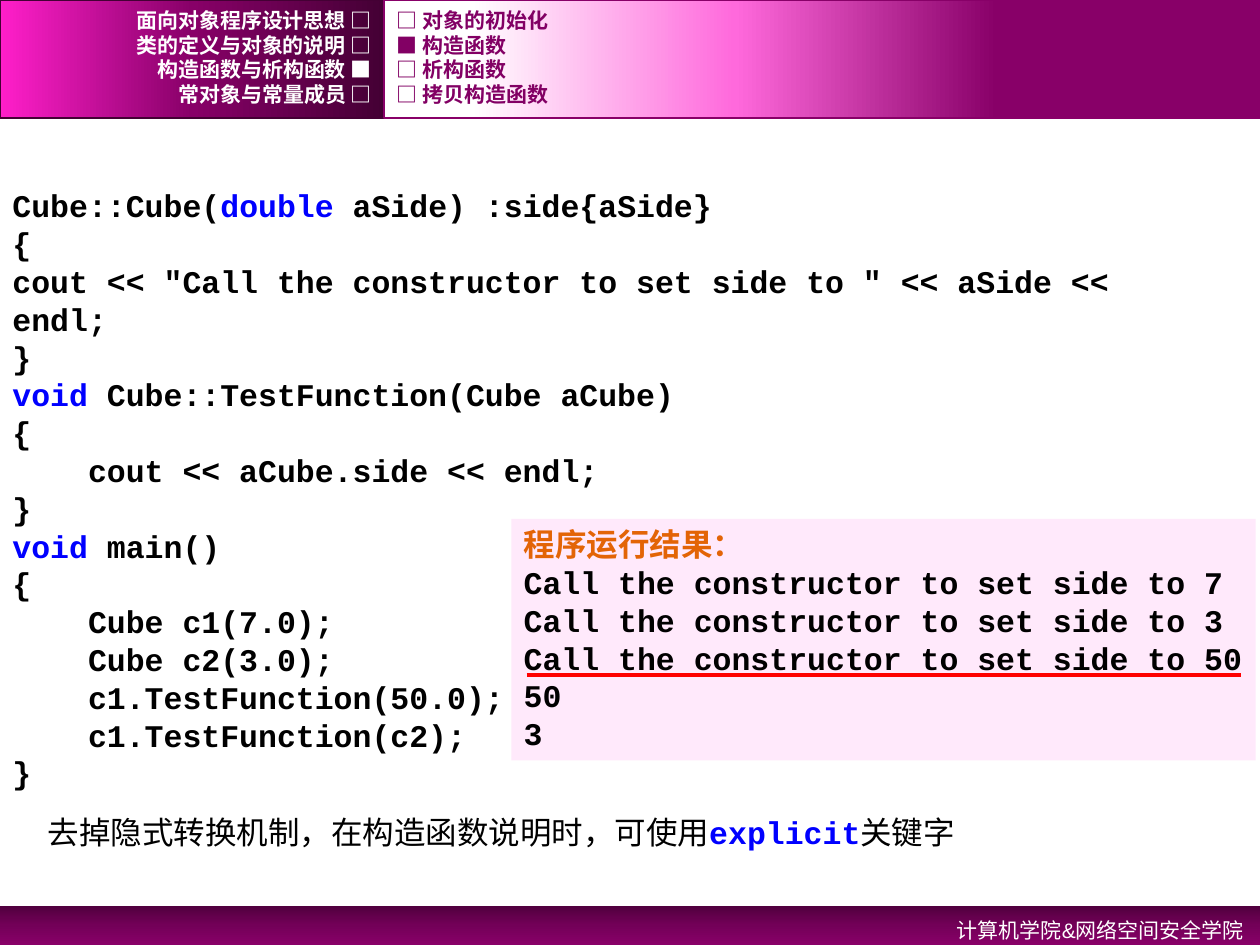
from dataclasses import dataclass

from lxml.etree import SubElement
from pptx import Presentation
from pptx.dml.color import RGBColor
from pptx.enum.shapes import MSO_CONNECTOR as Connector, MSO_SHAPE as Shape
from pptx.enum.text import MSO_ANCHOR as Anchor, PP_ALIGN as Align
from pptx.oxml.ns import qn
from pptx.util import Pt


@dataclass(frozen=True)
class Theme:
    sans: str = "Arial"
    mono: str = "Courier New"
    body: int = 18
    small: int = 12
    black: str = "000000"
    white: str = "FFFFFF"
    keyword: str = "0000FF"
    heading: str = "E36406"
    topic: str = "820064"
    panel: str = "FFE9FB"
    underline: str = "FF0000"
    plum: str = "880068"
    dark: str = "440034"
    footer: tuple = ((0, "51003E"), (50, "730058"), (100, "880068"))
    chapters: tuple = ((0, "440034"), (50, "880068"), (100, "FF1FCA"))
    topics: tuple = ((30, "880068"), (60, "FF69DC"), (90, "FFFFFF"))


THEME = Theme()
INDENT = 43.2  # four monospaced characters

CHAPTERS = ["面向对象程序设计思想 □", "类的定义与对象的说明 □",
            "构造函数与析构函数 ■", "常对象与常量成员 □"]
TOPICS = ["□ 对象的初始化", "■ 构造函数", "□ 析构函数", "□ 拷贝构造函数"]

# Each line: indent level, then (text, is keyword) runs
CODE = [
    (0, [("Cube::Cube(", False), ("double ", True), ("aSide) :side{aSide}", False)]),
    (0, [("{", False)]),
    (0, [('cout << "Call the constructor to set side to " << aSide << endl;', False)]),
    (0, [("}", False)]),
    (0, [("void ", True), ("Cube::TestFunction(Cube aCube)", False)]),
    (0, [("{", False)]),
    (1, [("cout << aCube.side << endl;", False)]),
    (0, [("}", False)]),
    (0, [("void", True), (" main()", False)]),
    (0, [("{", False)]),
    (1, [("Cube c1(7.0);", False)]),
    (1, [("Cube c2(3.0);", False)]),
    (1, [("c1.TestFunction(50.0);", False)]),
    (1, [("c1.TestFunction(c2);", False)]),
    (0, [("}", False)]),
]
RESULTS = [f"Call the constructor to set side to {side}" for side in (7, 3, 50)] + ["50", "3"]
NOTE = [("去掉隐式转换机制，在构造函数说明时，可使用", False), ("explicit", True), ("关键字", False)]


def color(value):
    return RGBColor.from_string(value)


def add_rect(page, box):
    rect = page.shapes.add_shape(Shape.RECTANGLE, *map(Pt, box))
    rect.shadow.inherit = False
    rect.line.fill.background()
    return rect


def add_band(page, box, stops, angle, border=None):
    """Rectangle with a gradient; the angle runs counter-clockwise."""
    band = add_rect(page, box)
    band.fill.gradient()
    band.fill.gradient_angle = angle
    stop_list = next(band.element.iter(qn("a:gsLst")))
    for stop in list(stop_list):
        stop_list.remove(stop)
    for position, value in stops:
        stop = SubElement(stop_list, qn("a:gs"), pos=str(position * 1000))
        SubElement(stop, qn("a:srgbClr"), val=value)
    if border:
        band.line.color.rgb = color(border)
        band.line.width = Pt(1)


def add_text_frame(page, box, anchor=Anchor.TOP):
    frame = page.shapes.add_textbox(*map(Pt, box)).text_frame
    frame.word_wrap = True
    frame.vertical_anchor = anchor
    return frame


def next_para(frame, is_first, align=Align.LEFT):
    para = frame.paragraphs[0] if is_first else frame.add_paragraph()
    para.alignment = align
    return para


def add_span(para, text, size, ink, font=THEME.mono, bold=True):
    span = para.add_run()
    span.text = text
    span.font.size = Pt(size)
    span.font.name = font
    span.font.bold = bold
    span.font.color.rgb = color(ink)


def add_menu(page, box, items, ink, align):
    left, top, width, pitch = box
    for row, item in enumerate(items):
        frame = add_text_frame(page, (left, top + row * pitch, width, pitch), Anchor.MIDDLE)
        add_span(next_para(frame, True, align), item, THEME.small, ink)


def add_header(page, box):
    left, top, width, height = box
    split, menu_top, pitch = 219.6, top + 4.5, 14.1
    add_band(page, (left, top, split, height), THEME.chapters, 180, THEME.dark)
    add_band(page, (left + split, top, width - split, height), THEME.topics, 180, THEME.plum)
    add_menu(page, (left, menu_top, split, pitch), CHAPTERS, THEME.white, Align.RIGHT)
    add_menu(page, (left + split, menu_top, 433.4, pitch), TOPICS, THEME.topic, Align.LEFT)


def add_footer(page, box):
    left, top, width, height = box
    add_band(page, box, THEME.footer, 270)
    frame = add_text_frame(page, (left + width - 257.8, top, 255.6, height))
    para = next_para(frame, True, Align.RIGHT)
    para.line_spacing = 1.2
    add_span(para, "计算机学院&网络空间安全学院", THEME.small, THEME.white, THEME.sans, False)


def add_code(page, box):
    frame = add_text_frame(page, box)
    for row, (level, runs) in enumerate(CODE):
        para = next_para(frame, row == 0)
        if level:
            para._p.get_or_add_pPr().set("marL", str(Pt(level * INDENT)))
        for text, is_keyword in runs:
            add_span(para, text, THEME.body, THEME.keyword if is_keyword else THEME.black)


def add_results(page, box):
    left, top, width, height = box
    panel = add_rect(page, box)
    panel.fill.solid()
    panel.fill.fore_color.rgb = color(THEME.panel)
    frame = panel.text_frame
    frame.word_wrap = True
    frame.vertical_anchor = Anchor.TOP
    add_span(next_para(frame, True), "程序运行结果：", THEME.body, THEME.heading, THEME.sans)
    for result in RESULTS:
        add_span(next_para(frame, False), result, THEME.body, THEME.black)

    line_y = top + 89.3
    line = page.shapes.add_connector(
        Connector.STRAIGHT, Pt(left + 8.8), Pt(line_y), Pt(left + width - 8.4), Pt(line_y))
    line.line.color.rgb = color(THEME.underline)
    line.line.width = Pt(2.25)
    SubElement(line.element.spPr, qn("a:effectLst"))


def add_note(page, box):
    para = next_para(add_text_frame(page, box), True)
    for text, is_keyword in NOTE:
        ink = THEME.keyword if is_keyword else THEME.black
        add_span(para, text, THEME.body, ink, bold=is_keyword)


def main():
    deck = Presentation()
    deck.slide_width, deck.slide_height = Pt(720), Pt(540)
    page = deck.slides.add_slide(deck.slide_layouts[6])
    add_footer(page, (0, 517.7, 720, 22.3))
    add_header(page, (0, 0, 720, 67.5))
    add_code(page, (0, 103, 697.7, 334))
    add_results(page, (292.2, 296.6, 425.3, 138))
    add_note(page, (20.2, 460.8, 640.8, 29))
    deck.save("out.pptx")


if __name__ == "__main__":
    main()
